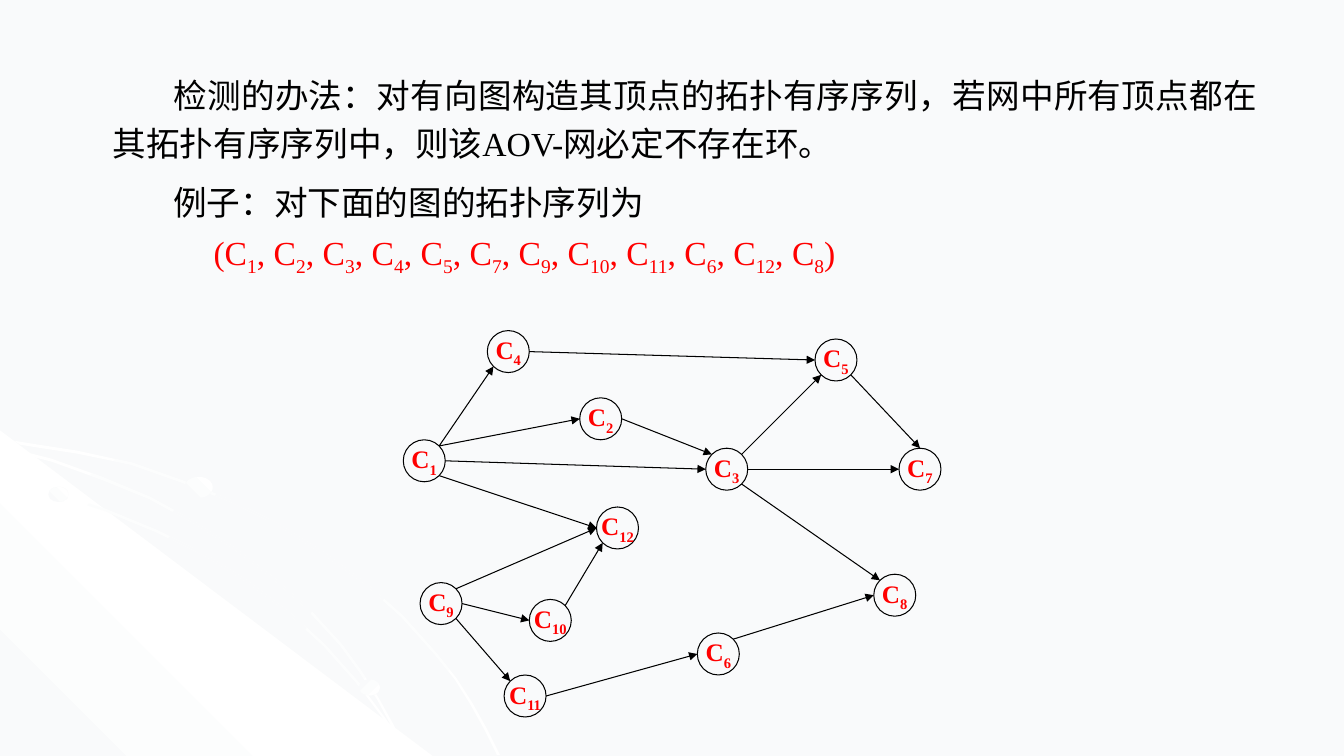
from lxml import etree
from pptx import Presentation, util as u
from pptx.dml.color import RGBColor
from pptx.enum import shapes, text
from pptx.oxml.ns import qn

WIDTH, HEIGHT = 13.33, 7.5
PALE, WHITE, BLACK, RED = "F9FAFB", "FFFFFF", "000000", "FF0000"
SUB = "|"  # switches between normal text and subscript

# Upper edges of the three decorative arcs, in inches
OUTER_ARC = [(0, 4.35), (.37, 4.41), (.76, 4.47), (1.31, 4.59), (1.82, 4.77),
             (2.32, 4.97), (2.79, 5.21), (3.22, 5.48), (3.63, 5.78), (4, 6.11),
             (4.33, 6.48), (4.53, 6.73), (4.69, 6.98), (4.83, 7.23), (4.96, 7.49)]
INNER_ARC = [(0, 4.75), (.54, 4.88), (1.05, 5.05), (1.56, 5.26), (2.03, 5.49),
             (2.46, 5.76), (2.86, 6.06), (3.23, 6.4), (3.55, 6.76), (3.82, 7.12),
             (3.94, 7.3), (4.04, 7.49)]
MIDDLE_ARC = [(0, 4.42), (.51, 4.55), (1.01, 4.73), (1.49, 4.93), (1.91, 5.16),
              (2.33, 5.43), (2.72, 5.73), (3.06, 6.03), (3.39, 6.39), (3.58, 6.65),
              (3.76, 6.93), (3.91, 7.2), (4.04, 7.49)]
DOTS = [(.48, 4.83, .2, .15, 315), (3.56, 6.74, .21, .16, 45), (1.83, 4.73, .28, .21, 315)]

# Column and row of each course in the graph's grid
COURSES = {4: (10, 0), 5: (49, 1), 1: (0, 13), 2: (21, 8), 3: (36, 14), 7: (59, 14),
           12: (23, 21), 9: (2, 30), 10: (15, 32), 11: (12, 41), 6: (35, 36), 8: (56, 29)}
# Prerequisite, side it leaves from, course, side it enters at
ARROWS = [(1, "NE", 4, "SW"), (1, "NE", 2, "W"), (1, "E", 3, "W"), (1, "SE", 12, "W"),
          (4, "E", 5, "W"), (3, "E", 7, "W"), (3, "NE", 5, "SW"), (5, "SE", 7, "N"),
          (3, "SE", 8, "NW"), (9, "NE", 12, "W"), (9, "E", 10, "W"), (10, "NE", 12, "SW"),
          (9, "SE", 11, "NW"), (2, "E", 3, "NW"), (11, "E", 6, "W"), (6, "NE", 8, "W")]
ORDER = [1, 2, 3, 4, 5, 7, 9, 10, 11, 6, 12, 8]


def color(value):
    return RGBColor.from_string(value)


def write(paragraph, content, size=24, ink=BLACK, bold=False, align=None,
          spacing=None, indent=0):
    paragraph.alignment = align
    paragraph.line_spacing = spacing
    if indent:
        paragraph._p.get_or_add_pPr().set("indent", str(u.Inches(indent)))
    for i, piece in enumerate(content.split(SUB)):
        run = paragraph.add_run()
        run.text = piece
        run.font.name, run.font.size, run.font.bold = "Times New Roman", u.Pt(size), bold
        run.font.color.rgb = color(ink)
        if i % 2:
            run._r.get_or_add_rPr().set("baseline", "-25000")


def shade(shape, stops, angle):
    shape.shadow.inherit = False
    shape.line.fill.background()
    shape.fill.gradient()
    gradient = shape._element.spPr.find(qn("a:gradFill"))
    gradient.find(qn("a:lin")).set("ang", str(angle * 60000))
    stop_list = gradient.find(qn("a:gsLst"))
    for old in list(stop_list):
        stop_list.remove(old)
    for i, value in enumerate(stops):
        stop = etree.SubElement(stop_list, qn("a:gs"), pos=str(100000 * i // (len(stops) - 1)))
        etree.SubElement(stop, qn("a:srgbClr"), val=value)


def outline(slide, points, stops, angle):
    scaled = [(x * 100, y * 100) for x, y in points]
    builder = slide.shapes.build_freeform(*scaled[0], scale=u.Inches(1) / 100)
    builder.add_line_segments(scaled[1:], close=True)
    shade(builder.convert_to_shape(), stops, angle)


def arc(slide, upper, thickness=.03):
    last = len(upper) - 1
    lower = [(x - thickness * i / last, y + thickness * (1 - i / last))
             for i, (x, y) in enumerate(upper)]
    outline(slide, upper + lower[::-1], [WHITE, PALE, WHITE], 45)


def backdrop(slide):
    slide.background.fill.solid()
    slide.background.fill.fore_color.rgb = color(PALE)
    arc(slide, OUTER_ARC)
    outline(slide, [(0, 4.27), (4.29, HEIGHT), (0, HEIGHT)], [PALE, WHITE, PALE], 315)
    arc(slide, INNER_ARC)
    arc(slide, MIDDLE_ARC)
    for x, y, w, h, angle in DOTS:
        dot = slide.shapes.add_shape(shapes.MSO_SHAPE.OVAL, *map(u.Inches, (x, y, w, h)))
        shade(dot, [PALE, WHITE], angle)


def passage(slide, box, *lines):
    frame = slide.shapes.add_textbox(*map(u.Inches, box)).text_frame
    frame.word_wrap = True
    for i, (content, style) in enumerate(lines):
        paragraph = frame.add_paragraph() if i else frame.paragraphs[0]
        write(paragraph, content, spacing=1.2, **style)


def course_graph(slide, left, top, cell):
    diameter = 5 * cell

    def site(course, side):
        column, row = COURSES[course]
        dx = ("E" in side) - ("W" in side)
        dy = ("S" in side) - ("N" in side)
        reach = diameter / 2 * (.5 ** .5 if dx and dy else 1)
        return (u.Inches(left + column * cell + diameter / 2 + dx * reach),
                u.Inches(top + row * cell + diameter / 2 + dy * reach))

    # Courses
    for number, (column, row) in COURSES.items():
        box = (left + column * cell, top + row * cell, diameter, diameter)
        course = slide.shapes.add_shape(shapes.MSO_SHAPE.OVAL, *map(u.Inches, box))
        course.shadow.inherit = False
        course.fill.background()
        course.line.color.rgb, course.line.width = color(BLACK), u.Pt(.75)
        frame = course.text_frame
        frame.word_wrap = False
        frame.vertical_anchor = text.MSO_ANCHOR.MIDDLE
        write(frame.paragraphs[0], f"C{SUB}{number}", size=18, ink=RED, bold=True,
              align=text.PP_ALIGN.CENTER)

    # Prerequisites
    for start, leave, end, enter in ARROWS:
        arrow = slide.shapes.add_connector(shapes.MSO_CONNECTOR.STRAIGHT,
                                           *site(start, leave), *site(end, enter))
        arrow.line.color.rgb, arrow.line.width = color(BLACK), u.Pt(.75)
        etree.SubElement(arrow.line._get_or_add_ln(), qn("a:tailEnd"), type="triangle")
        etree.SubElement(arrow._element.spPr, qn("a:effectLst"))


def main():
    deck = Presentation()
    deck.slide_width, deck.slide_height = u.Inches(WIDTH), u.Inches(HEIGHT)
    slide = deck.slides.add_slide(deck.slide_layouts[6])
    backdrop(slide)

    # Method
    passage(slide, (1.02, .61, 11.55, 1.07),
            ("检测的办法：对有向图构造其顶点的拓扑有序序列，若网中所有顶点都在"
             "其拓扑有序序列中，则该AOV-网必定不存在环。",
             {"align": text.PP_ALIGN.JUSTIFY, "indent": .6}))
    course_graph(slide, 4, 3.28, 1 / 12)

    # Example
    sequence = ", ".join(f"C{SUB}{number}{SUB}" for number in ORDER)
    passage(slide, (1.02, 1.68, 9.43, 1.14),
            ("例子：对下面的图的拓扑序列为", {"indent": .6}),
            (f"({sequence})", {"ink": RED, "indent": 1}))
    deck.save("out.pptx")


if __name__ == "__main__":
    main()
